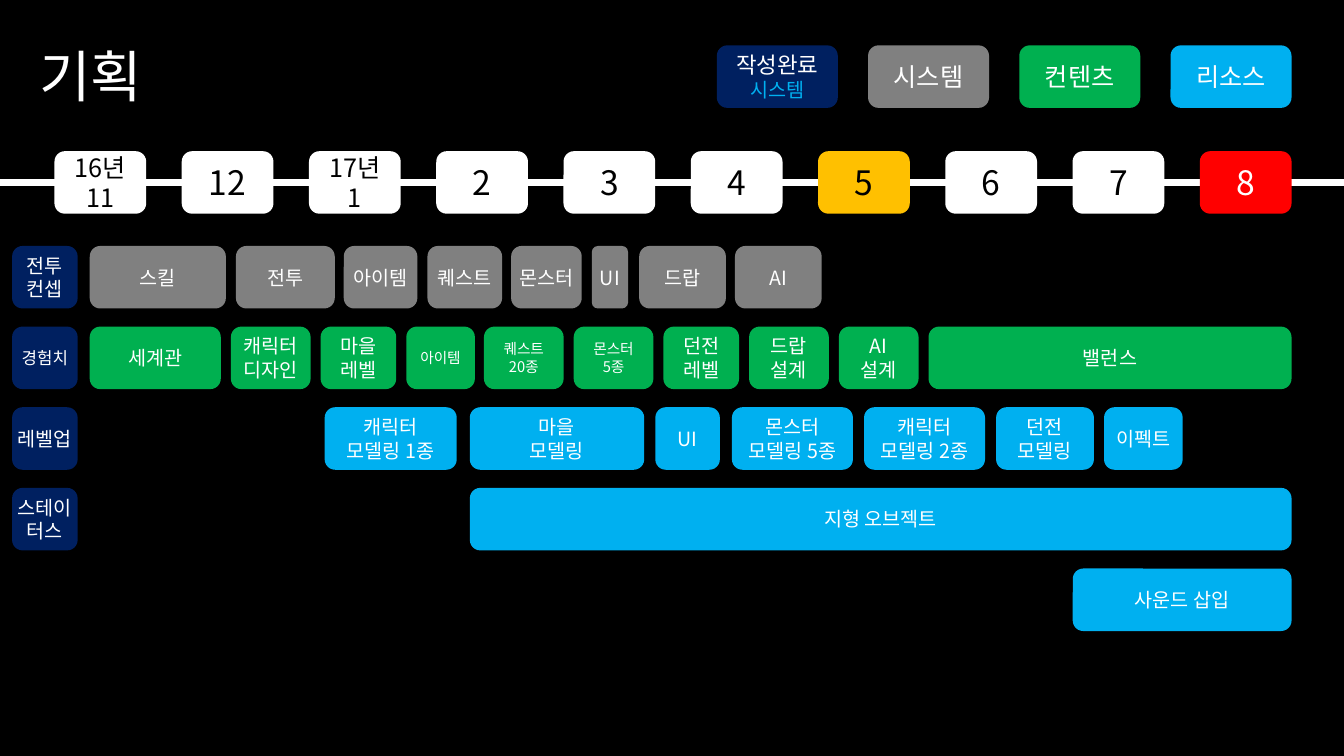
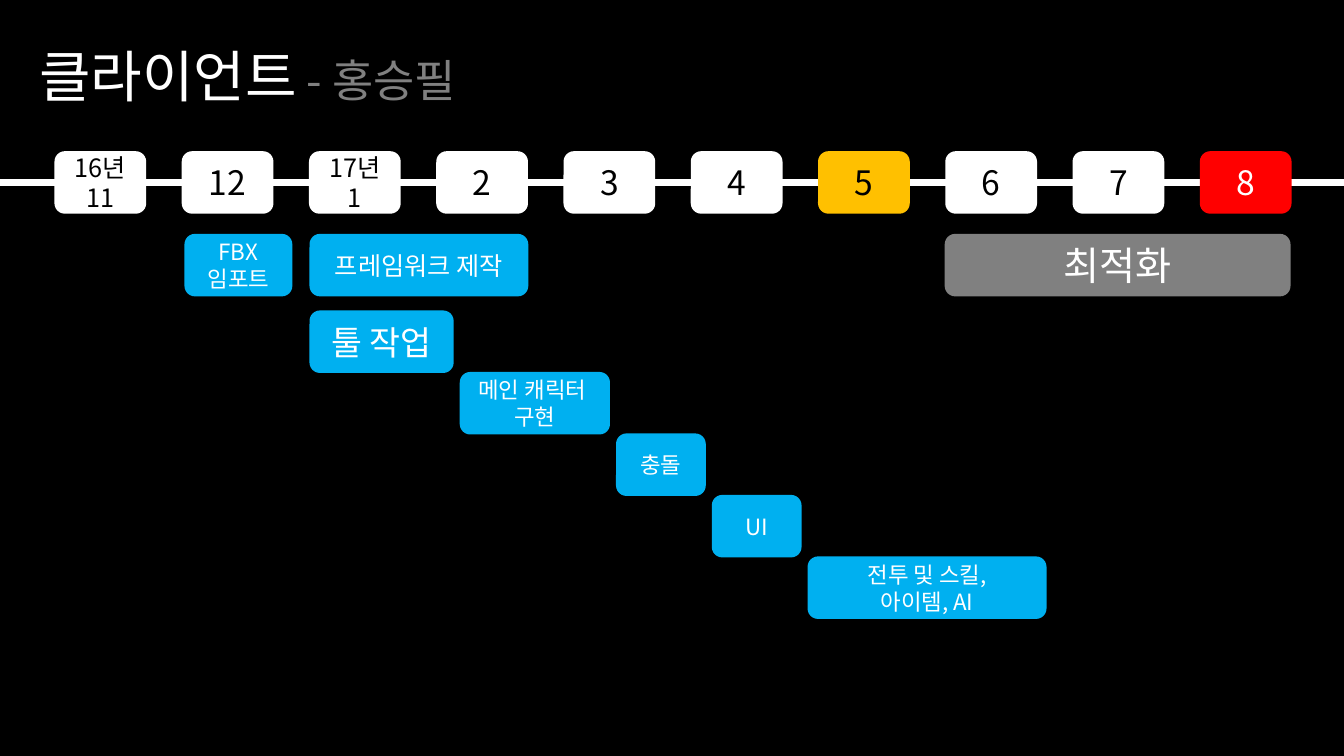
from dataclasses import dataclass
from typing import Optional

from lxml import etree
from pptx import Presentation
from pptx import util as u
from pptx.dml import color
from pptx.enum import shapes, text
from pptx.oxml import ns

# Shared style
BLACK = color.RGBColor(0x00, 0x00, 0x00)
WHITE = color.RGBColor(0xFF, 0xFF, 0xFF)
GRAY = color.RGBColor(0x80, 0x80, 0x80)
GREEN = color.RGBColor(0x00, 0xB0, 0x50)
BLUE = color.RGBColor(0x00, 0xB0, 0xF0)
NAVY = color.RGBColor(0x00, 0x20, 0x60)
AMBER = color.RGBColor(0xFF, 0xC0, 0x00)
RED = color.RGBColor(0xFF, 0x00, 0x00)
FONT = "Noto Sans CJK KR"

PAGE_WIDTH, PAGE_HEIGHT = 13.33, 7.5
BOX_HEIGHT = 0.62
MONTH_LEFT, MONTH_LAST, MONTH_TOP, MONTH_WIDTH = 0.54, 11.9, 1.5, 0.91
MONTHS = ["16년\n11", "12", "17년\n1", "2", "3", "4", "5", "6", "7", "8"]
MONTH_FILLS = {"5": AMBER, "8": RED}


@dataclass
class Task:
    label: str
    left: float
    width: float
    size: float = 14


@dataclass
class Row:
    fill: color.RGBColor
    index: int
    tasks: list[Task]


@dataclass
class TitlePart:
    label: str
    size: float
    ink: color.RGBColor


def format_run(span, size: float, ink: color.RGBColor) -> None:
    span.font.size = u.Pt(size)
    span.font.color.rgb = ink
    span.font.name = FONT
    etree.SubElement(span._r.get_or_add_rPr(), ns.qn("a:ea"), typeface=FONT)


def add_box(page, task: Task, top: float, fill: color.RGBColor,
            ink: color.RGBColor = WHITE, inset: Optional[float] = None):
    box = page.shapes.add_shape(
        shapes.MSO_SHAPE.ROUNDED_RECTANGLE, u.Inches(task.left), u.Inches(top),
        u.Inches(task.width), u.Inches(BOX_HEIGHT))
    box.shadow.inherit = False
    box.fill.solid()
    box.fill.fore_color.rgb = fill
    box.line.fill.background()
    frame = box.text_frame
    frame.word_wrap = True
    frame.vertical_anchor = text.MSO_ANCHOR.MIDDLE
    if inset is not None:
        frame.margin_left = frame.margin_right = u.Inches(inset)
        frame.margin_top = frame.margin_bottom = u.Inches(inset)
    frame.text = task.label
    for para in frame.paragraphs:
        para.alignment = text.PP_ALIGN.CENTER
        for span in para.runs:
            format_run(span, task.size, ink)
    return box


def add_title(page, parts: list[TitlePart], width: float) -> None:
    title = page.shapes.add_textbox(
        u.Inches(0.29), u.Inches(0.36), u.Inches(width), u.Inches(0.77))
    frame = title.text_frame
    frame.word_wrap = False
    frame.auto_size = text.MSO_AUTO_SIZE.SHAPE_TO_FIT_TEXT
    for part in parts:
        span = frame.paragraphs[0].add_run()
        span.text = part.label
        format_run(span, part.size, part.ink)


def add_timeline(page) -> None:
    axis = page.shapes.add_connector(
        shapes.MSO_CONNECTOR.STRAIGHT, 0, u.Inches(1.81),
        u.Inches(PAGE_WIDTH), u.Inches(1.81))
    axis.line.color.rgb = WHITE
    axis.line.width = u.Pt(5)
    etree.SubElement(axis._element.spPr, ns.qn("a:effectLst"))
    step = (MONTH_LAST - MONTH_LEFT) / (len(MONTHS) - 1)
    for index, month in enumerate(MONTHS):
        size = 18 if "\n" in month else 24
        fill = MONTH_FILLS.get(month, WHITE)
        add_box(page, Task(month, MONTH_LEFT + index * step, MONTH_WIDTH, size),
                MONTH_TOP, fill, WHITE if fill == RED else BLACK)


def add_page(deck, title: list[TitlePart], title_width: float):
    page = deck.slides.add_slide(deck.slide_layouts[6])
    backdrop = page.shapes.add_shape(
        shapes.MSO_SHAPE.RECTANGLE, 0, 0,
        u.Inches(PAGE_WIDTH), u.Inches(PAGE_HEIGHT))
    backdrop.shadow.inherit = False
    backdrop.fill.solid()
    backdrop.fill.fore_color.rgb = BLACK
    backdrop.line.fill.background()
    add_timeline(page)
    add_title(page, title, title_width)
    return page


deck = Presentation()
deck.slide_width = u.Inches(PAGE_WIDTH)
deck.slide_height = u.Inches(PAGE_HEIGHT)

# Planning schedule
planning = add_page(deck, [TitlePart("기획", 40, WHITE)], 1.32)

LEGEND = [("작성완료\n시스템", NAVY, 16), ("시스템", GRAY, 18),
          ("컨텐츠", GREEN, 18), ("리소스", BLUE, 18)]
legend_boxes = [
    add_box(planning, Task(label, 7.11 + 1.5 * index, 1.2, size), 0.45, fill)
    for index, (label, fill, size) in enumerate(LEGEND)]
done_note = legend_boxes[0].text_frame.paragraphs[1].runs[0]
done_note.font.size = u.Pt(14)
done_note.font.color.rgb = BLUE

FINISHED = [("전투\n컨셉", 14), ("경험치", 12), ("레벨업", 14), ("스테이터스", 14)]
PLANNING_ROWS = [
    Row(NAVY, index, [Task(label, 0.12, 0.65, size)])
    for index, (label, size) in enumerate(FINISHED)
] + [
    Row(GRAY, 0, [
        Task("스킬", 0.89, 1.35), Task("전투", 2.34, 0.98),
        Task("아이템", 3.41, 0.73), Task("퀘스트", 4.24, 0.74),
        Task("몬스터", 5.07, 0.7), Task("UI", 5.87, 0.36),
        Task("드랍", 6.34, 0.86), Task("AI", 7.29, 0.86)]),
    Row(GREEN, 1, [
        Task("세계관", 0.89, 1.3), Task("캐릭터\n디자인", 2.29, 0.79),
        Task("마을\n레벨", 3.18, 0.75), Task("아이템", 4.03, 0.68, 10.5),
        Task("퀘스트\n20종", 4.8, 0.79, 10.5),
        Task("몬스터\n5종", 5.69, 0.79, 10.5),
        Task("던전\n레벨", 6.58, 0.75), Task("드랍\n설계", 7.43, 0.79),
        Task("AI\n설계", 8.32, 0.79), Task("밸런스", 9.21, 3.6)]),
    Row(BLUE, 2, [
        Task("캐릭터\n모델링 1종", 3.22, 1.31), Task("마을\n모델링", 4.66, 1.73),
        Task("UI", 6.5, 0.64), Task("몬스터\n모델링 5종", 7.26, 1.2),
        Task("캐릭터\n모델링 2종", 8.57, 1.2), Task("던전\n모델링", 9.88, 0.97),
        Task("이펙트", 10.95, 0.78)]),
    Row(BLUE, 3, [Task("지형 오브젝트", 4.66, 8.15)]),
    Row(BLUE, 4, [Task("사운드 삽입", 10.64, 2.17)]),
]
for row in PLANNING_ROWS:
    for task in row.tasks:
        add_box(planning, task, 2.44 + 0.8 * row.index, row.fill, inset=0)

# Client schedule
client = add_page(deck, [TitlePart("클라이언트", 40, WHITE),
                         TitlePart(" - 홍승필", 32, GRAY)], 4.85)
add_box(client, Task("FBX\n임포트", 1.83, 1.07, 16), 2.32, BLUE)
add_box(client, Task("프레임워크 제작", 3.07, 2.17, 18), 2.32, BLUE)
add_box(client, Task("최적화", 9.37, 3.43, 28), 2.32, GRAY)

# Staircase: each task starts where the one before ends
STAIRS = [("툴 작업", 1.43, 24), ("메인 캐릭터 \n구현", 1.49, 16),
          ("충돌", 0.89, 16), ("UI", 0.89, 16),
          ("전투 및 스킬,\n아이템, AI", 2.37, 16)]
stair_left = 3.07
for index, (label, width, size) in enumerate(STAIRS):
    add_box(client, Task(label, stair_left, width, size), 3.08 + 0.61 * index, BLUE)
    stair_left += width + 0.06

deck.save("out.pptx")
